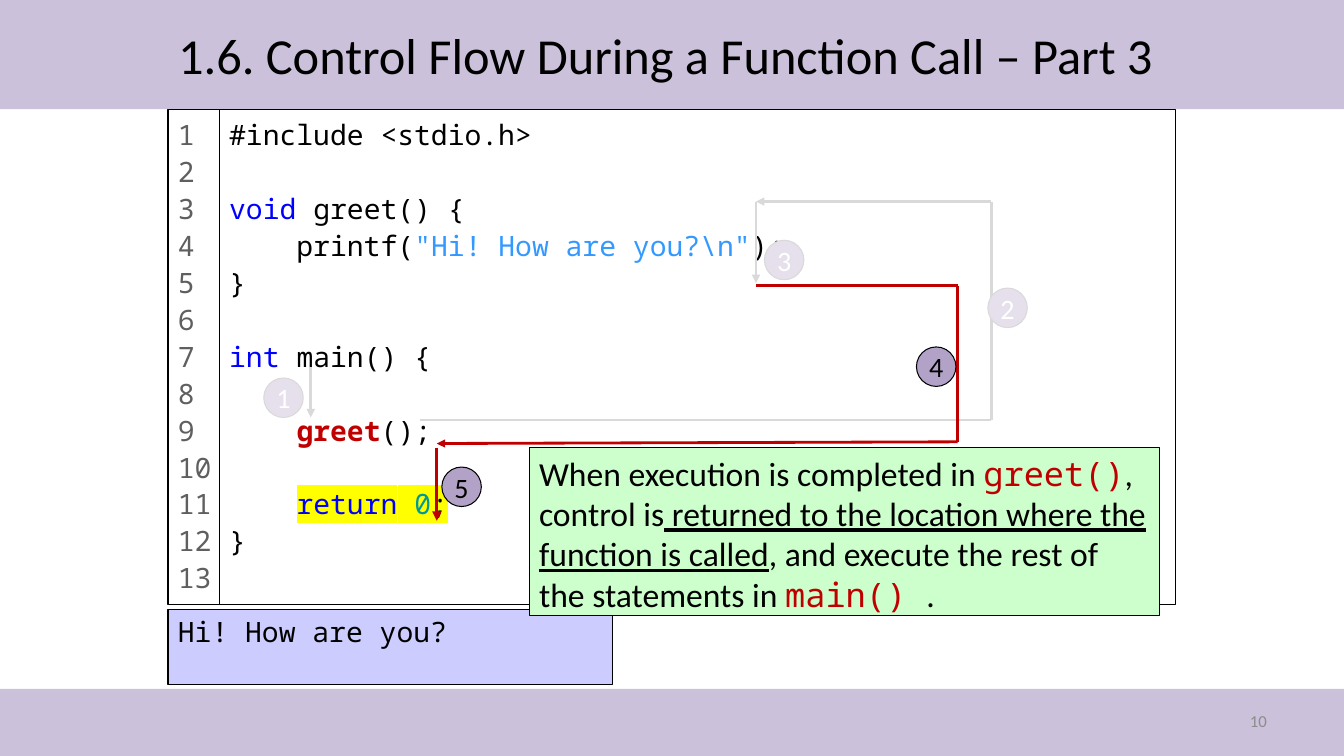
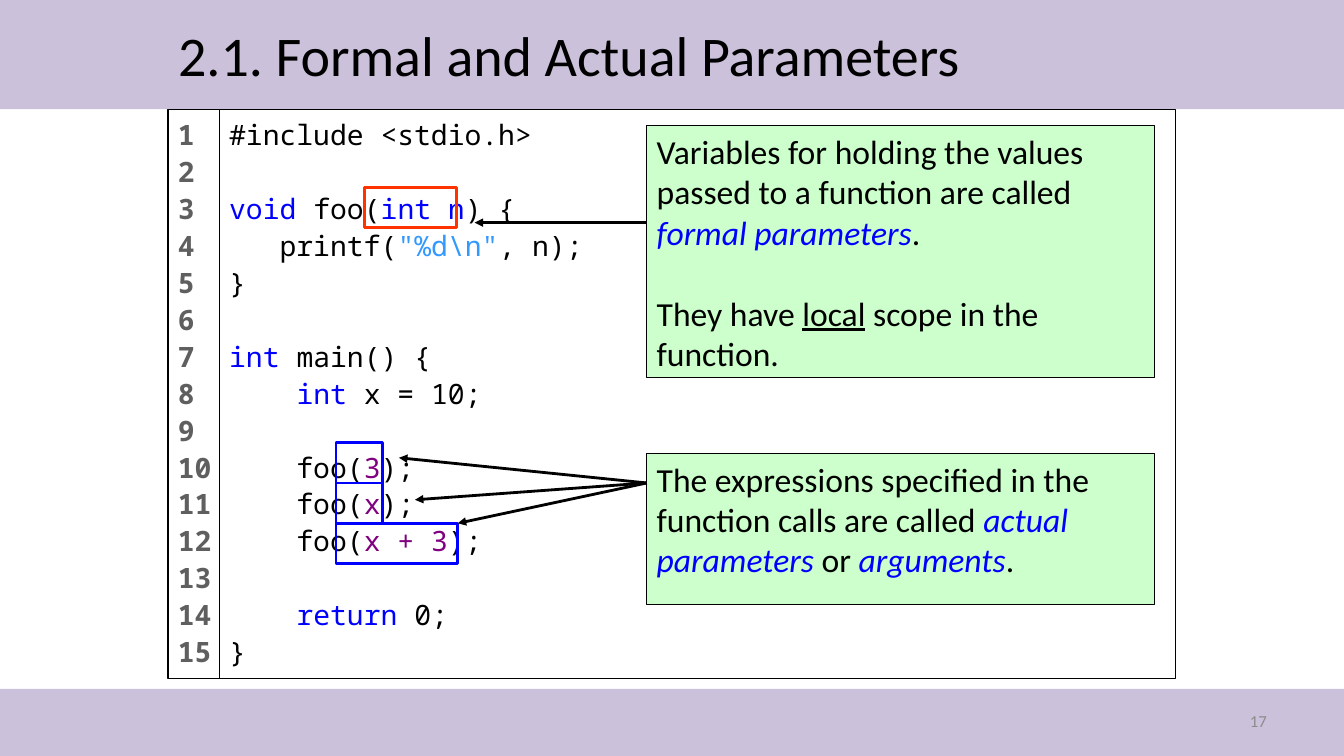
from dataclasses import dataclass

from lxml.etree import SubElement
from pptx import Presentation
from pptx.dml.color import RGBColor
from pptx.enum.shapes import MSO_CONNECTOR, MSO_SHAPE as Shape
from pptx.enum.text import MSO_ANCHOR as Anchor, MSO_AUTO_SIZE, PP_ALIGN as Align
from pptx.oxml.ns import qn
from pptx.util import Inches, Pt

COLS, ROWS = 16, 9
CELL = Inches(7.5) // ROWS


@dataclass(frozen=True)
class Theme:
    text_font: str = "Calibri"
    code_font: str = "Noto Sans Mono"
    title_size: float = 40
    long_title_size: float = 36
    callout_size: float = 24
    code_size: float = 20
    footer_size: float = 12
    code_spacing: float = 1.1
    callout_gap: float = 29
    thin: float = 0.75
    thick: float = 2
    black: str = "000000"
    white: str = "FFFFFF"
    band: str = "CCC1DA"
    footer: str = "8C8C8C"
    gutter: str = "5F5F5F"
    console: str = "CCCCFF"
    callout: str = "CCFFCC"
    blue: str = "0000FF"
    sky: str = "3399FF"
    purple: str = "800080"
    teal: str = "009999"
    yellow: str = "FFFF00"
    red: str = "C00000"
    orange: str = "FF3300"
    faded: str = "D9D9D9"
    faded_badge: str = "E6E0EC"
    badge: str = "B3A2C7"


T = Theme()
KEYWORD = dict(color=T.blue)
STRING = dict(color=T.sky)
ARGUMENT = dict(color=T.purple)
CALLED = dict(color=T.red, bold=True)
NEXT = dict(highlight=T.yellow)
NEXT_KEYWORD = NEXT | KEYWORD
NEXT_NUMBER = NEXT | dict(color=T.teal)
CODE_WORD = dict(color=T.red, font=T.code_font)
TERM = dict(color=T.blue, italic=True)
UNDERLINED = dict(underline=True)


@dataclass(frozen=True)
class Box:
    """A region in grid cells."""
    x: float
    y: float
    w: float
    h: float

    def area(self, x, y, w, h):
        return Box(self.x + x, self.y + y, w, h)

    def point(self, x, y):
        return cells(self.x + x, self.y + y)

    def emu(self):
        return cells(self.x, self.y, self.w, self.h)


def cells(*values):
    return [round(v * CELL) for v in values]


TITLE = Box(2, 0, 12, 1.3)
HEADER = Box(0, 0, COLS, 1.3)
FOOTER = Box(0, 8.2, COLS, 0.8)


def add_run(p, text, size, font, color, bold=False, italic=False,
            underline=False, highlight=None):
    r = p.add_run()
    r.text = text
    f = r.font
    f.size, f.name = Pt(size), font
    f.bold, f.italic, f.underline = bold, italic, underline
    f.color.rgb = RGBColor.from_string(color)
    if highlight:
        mark = SubElement(r._r.rPr, qn("a:highlight"))
        SubElement(mark, qn("a:srgbClr"), val=highlight)
        r._r.rPr.find(qn("a:solidFill")).addnext(mark)


def write(sp, paragraphs, size=T.code_size, font=T.text_font, color=T.black,
          bold=False, align=Align.LEFT, anchor=Anchor.TOP, wrap=True,
          inset=None, spacing=None, gap=0):
    """Fill a shape with paragraphs, each a list of strings or (text, format) pairs."""
    tf = sp.text_frame
    tf.auto_size = MSO_AUTO_SIZE.NONE
    tf.word_wrap, tf.vertical_anchor = wrap, anchor
    if inset is not None:
        tf.margin_left = tf.margin_right = tf.margin_top = tf.margin_bottom = inset
    base = dict(size=size, font=font, color=color, bold=bold)
    for i, runs in enumerate(paragraphs):
        p = tf.add_paragraph() if i else tf.paragraphs[0]
        p.alignment = align
        if spacing:
            p.line_spacing = spacing
        if i and gap:
            p.space_before = Pt(gap)
        for run in runs:
            text, style = (run, {}) if isinstance(run, str) else run
            add_run(p, text, **(base | style))
        if not runs:
            end = SubElement(p._p, qn("a:endParaRPr"), sz=str(size * 100))
            SubElement(end, qn("a:latin"), typeface=font)


def add_box(slide, box, fill=None, line=T.black, width=T.thin, kind=Shape.RECTANGLE):
    sp = slide.shapes.add_shape(kind, *box.emu())
    sp.shadow.inherit = False
    if fill:
        sp.fill.solid()
        sp.fill.fore_color.rgb = RGBColor.from_string(fill)
    else:
        sp.fill.background()
    if line:
        sp.line.color.rgb = RGBColor.from_string(line)
        sp.line.width = Pt(width)
    else:
        sp.line.fill.background()
    return sp


def add_route(slide, box, points, color, heads=1, width=T.thick):
    """Join points inside the box; the last `heads` segments end in arrowheads."""
    segments = list(zip(points, points[1:]))
    for i, (start, end) in enumerate(segments):
        line = slide.shapes.add_connector(
            MSO_CONNECTOR.STRAIGHT, *box.point(*start), *box.point(*end))
        line.line.color.rgb = RGBColor.from_string(color)
        line.line.width = Pt(width)
        props = line._element.spPr
        if i >= len(segments) - heads:
            SubElement(props.find(qn("a:ln")), qn("a:tailEnd"), type="triangle")
        SubElement(props, qn("a:effectLst"))


def add_badge(slide, box, x, y, number, fill, line, color):
    sp = add_box(slide, box.area(x, y, 0.47, 0.47), fill, line, kind=Shape.OVAL)
    write(sp, [[number]], color=color, align=Align.CENTER, anchor=Anchor.MIDDLE, inset=0)


def add_listing(slide, box, code, line_count, bold_numbers=False):
    gutter = 0.61
    style = dict(font=T.code_font, spacing=T.code_spacing)
    sp = add_box(slide, box.area(gutter, 0, box.w - gutter, box.h), T.white)
    write(sp, code, **style)
    sp = add_box(slide, box.area(0, 0, gutter, box.h), T.white)
    write(sp, [[str(n + 1)] for n in range(line_count)], color=T.gutter,
          bold=bold_numbers, wrap=False, **style)


def add_callout(slide, box, paragraphs):
    write(add_box(slide, box, T.callout), paragraphs, size=T.callout_size,
          gap=T.callout_gap)


def add_bands(slide, layout):
    """Draw the bands and move them to the layout, behind its placeholders."""
    for i, box in enumerate((HEADER, FOOTER)):
        sp = add_box(slide, box, T.band, line=None)
        layout.shapes._spTree.insert(2 + i, sp._element)


def add_slide(prs, title, number, title_size=T.title_size):
    slide = prs.slides.add_slide(prs.slide_layouts[5])
    sp = slide.shapes.title
    sp.left, sp.top, sp.width, sp.height = TITLE.emu()
    write(sp, [[title]], size=title_size, anchor=Anchor.MIDDLE)
    sp = slide.shapes.add_textbox(*FOOTER.area(11.47, 0.14, 3.73, 0.48).emu())
    write(sp, [[number]], size=T.footer_size, color=T.footer, align=Align.RIGHT,
          anchor=Anchor.MIDDLE)
    return slide


def add_call_flow(slide, box):
    """Trace the call in grey and the return in red over the listing."""
    faded = dict(fill=T.faded_badge, line=T.faded, color=T.white)
    active = dict(fill=T.badge, line=T.black, color=T.black)
    add_route(slide, box, [(1.7, 3.07), (1.7, 3.67)], T.faded)
    add_route(slide, box, [(3, 3.7), (9.8, 3.7), (9.8, 1.1), (7, 1.1), (7, 2.07)],
              T.faded, heads=2)
    add_route(slide, box, [(7, 2.1), (9.4, 2.1), (9.4, 3.96), (3.2, 3.98)], T.red)
    add_route(slide, box, [(3.2, 4.03), (3.2, 4.9)], T.red, width=2.25)
    for number, x, y, style in (("1", 1.14, 3.2, faded), ("2", 9.76, 2.13, faded),
                                ("3", 7.1, 1.56, faded), ("4", 8.91, 2.83, active),
                                ("5", 3.26, 4.26, active)):
        add_badge(slide, box, x, y, number, **style)


def control_flow_slide(prs):
    slide = add_slide(prs, "1.6. Control Flow During a Function Call – Part 3", "10",
                      title_size=T.long_title_size)
    listing = Box(2, 1.3, 12, 5.9)
    add_listing(slide, listing, [
        ["#include <stdio.h>"],
        [],
        [("void", KEYWORD), " greet() {"],
        ["    printf(", ('"Hi! How are you?\\n"', STRING), ");"],
        ["}"],
        [],
        [("int", KEYWORD), " main() {"],
        [],
        ["    ", ("greet", CALLED), "();"],
        [],
        ["    ", ("return", NEXT_KEYWORD), (" ", NEXT), ("0", NEXT_NUMBER), (";", NEXT)],
        ["}"],
    ], line_count=13)
    console = add_box(slide, listing.area(0, 5.96, 5.29, 0.89), T.console)
    write(console, [["Hi! How are you?"]], font=T.code_font)
    add_callout(slide, listing.area(4.3, 4.03, 7.5, 2), [[
        "When execution is completed in ", ("greet()", CODE_WORD), ", control is",
        (" returned to the location where the function is called", UNDERLINED),
        ", and execute the rest of the statements in ", ("main() ", CODE_WORD), "."]])
    add_call_flow(slide, listing)
    return slide


def parameters_slide(prs):
    slide = add_slide(prs, "2.1. Formal and Actual Parameters", "17")
    listing = Box(2, 1.3, 12, 6.78)
    calls = [["    foo(", (value, ARGUMENT), ");"] for value in ("3", "x", "x + 3")]
    add_listing(slide, listing, [
        ["#include <stdio.h>"],
        [],
        [("void", KEYWORD), " foo(", ("int n", KEYWORD), ") {"],
        ["   printf(", ('"%d\\n"', STRING), ", n);"],
        ["}"],
        [],
        [("int", KEYWORD), " main() {"],
        ["    ", ("int", KEYWORD), " x = 10;"],
        [],
        *calls,
        [],
        ["    ", ("return", KEYWORD), " 0;"],
        ["}"],
    ], line_count=15, bold_numbers=True)
    add_callout(slide, listing.area(5.7, 0.2, 6.05, 3), [
        ["Variables for holding the values passed to a function are called ",
         ("formal parameters", TERM), "."],
        ["They have ", ("local", UNDERLINED), " scope in the function."]])
    add_callout(slide, listing.area(5.7, 4.1, 6.05, 1.8), [[
        "The expressions specified in the function calls are called ",
        ("actual parameters", TERM), " or ", ("arguments", TERM), "."]])
    frame_h = 0.48
    add_box(slide, listing.area(2.34, 0.93, 1.1, frame_h), line=T.orange, width=T.thick)
    for i, width in enumerate((0.55, 0.55, 1.45)):
        add_box(slide, listing.area(2, 3.97 + i * frame_h, width, frame_h),
                line=T.blue, width=T.thick)
    add_route(slide, listing, [(5.7, 1.35), (3.65, 1.35)], T.black)
    for target in ((2.75, 4.15), (2.94, 4.65), (3.45, 4.93)):
        add_route(slide, listing, [(5.7, 4.45), target], T.black)


def main():
    prs = Presentation()
    prs.slide_width, prs.slide_height = cells(COLS, ROWS)
    first = control_flow_slide(prs)
    add_bands(first, first.slide_layout)
    parameters_slide(prs)
    prs.save("out.pptx")


if __name__ == "__main__":
    main()
